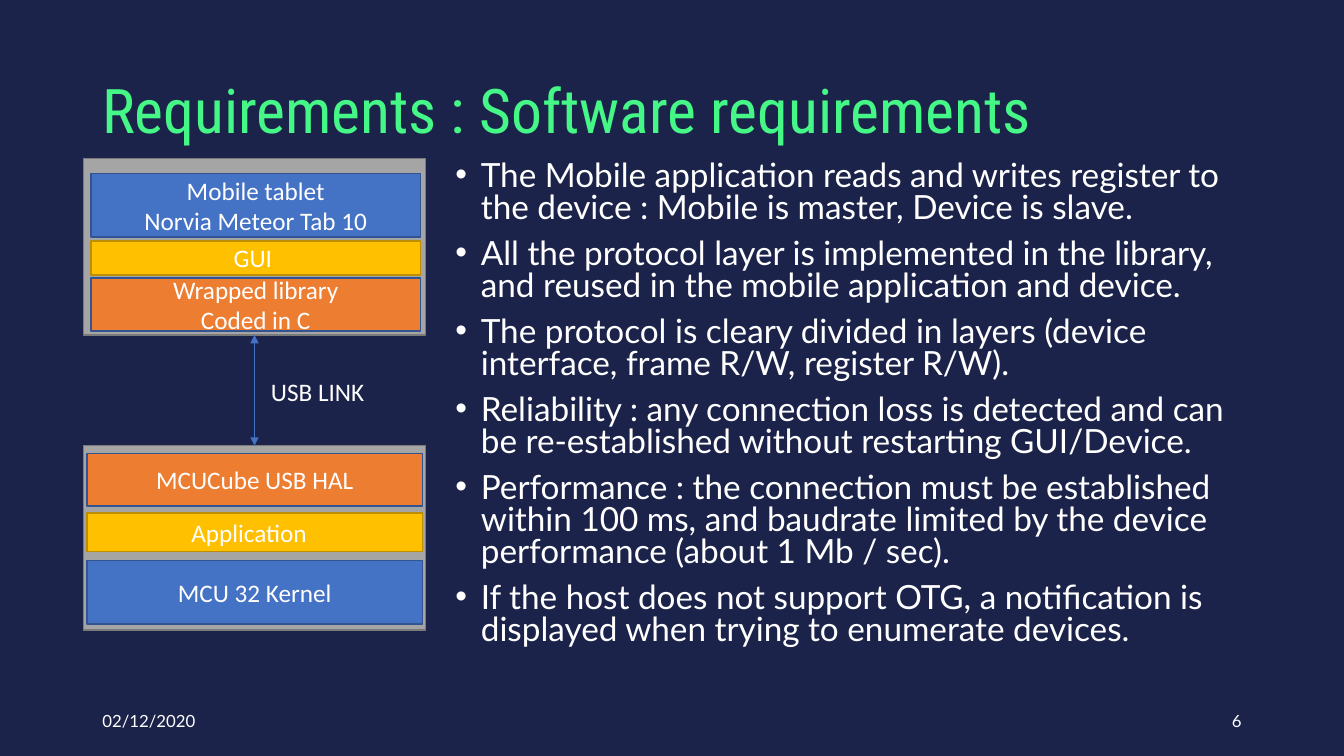
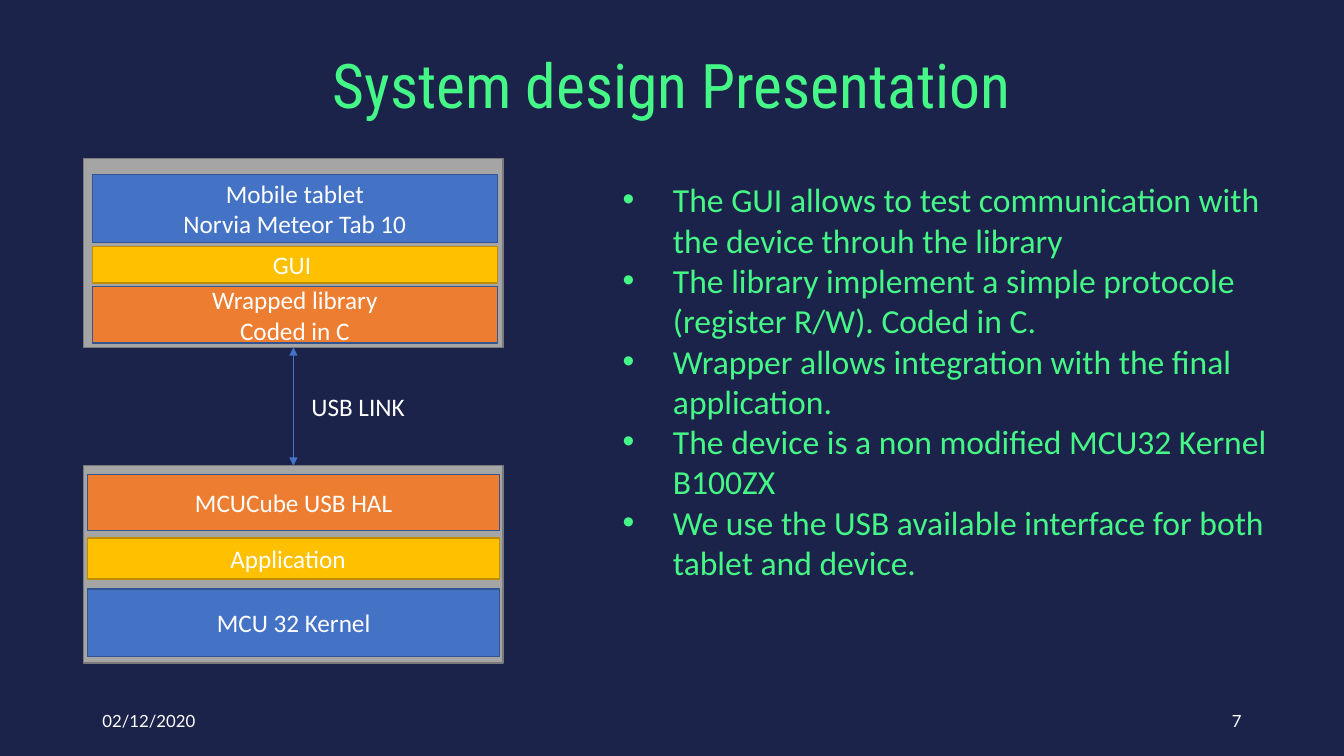
import dataclasses

import lxml.etree
import pptx
import pptx.dml.color
import pptx.enum.shapes
import pptx.enum.text
import pptx.oxml.ns
import pptx.util

Cm = pptx.util.Cm
Pt = pptx.util.Pt
ALIGN = pptx.enum.text.PP_ALIGN
ANCHOR = pptx.enum.text.MSO_ANCHOR


@dataclasses.dataclass(frozen=True)
class Theme:
    background: str = "1C234A"
    accent: str = "45F786"
    text: str = "FFFFFF"
    link: str = "4472C4"
    # Fill and outline of each kind of box
    frame: tuple = ("A5A5A5", "7A7A7A")
    hardware: tuple = ("4472C4", "325491")
    software: tuple = ("FFC000", "BD8E00")
    library: tuple = ("ED7D31", "325491")
    title_font: str = "Roboto Condensed"
    body_font: str = "Lato"
    diagram_font: str = "Calibri"
    title_size: float = 44
    requirement_size: float = 23.8
    design_size: float = 24
    diagram_size: float = 18
    footer_size: float = 12


THEME = Theme()


@dataclasses.dataclass(frozen=True)
class Layer:
    lines: tuple
    colors: tuple
    top: float
    height: float
    right_padding: float = 0


@dataclasses.dataclass(frozen=True)
class Unit:
    top: float
    height: float
    layer_left: float
    layer_width: float
    layers: tuple


# Diagram lengths in cm, from its top left corner, at its basic size
DIAGRAM_LEFT, DIAGRAM_TOP, DIAGRAM_WIDTH = 2.11, 3.99, 8.61
TABLET = Unit(0, 4.45, 0.18, 8.31, (
    Layer(("Mobile tablet", "Norvia Meteor Tab 10"), THEME.hardware, 0.38, 1.6),
    Layer(("GUI",), THEME.software, 2.08, 0.86, 0.14),
    Layer(("Wrapped library", "Coded in C"), THEME.library, 3.02, 1.33),
))
DEVICE = Unit(7.24, 4.65, 0.08, 8.46, (
    Layer(("MCUCube USB HAL",), THEME.library, 0.2, 1.32),
    Layer(("Application",), THEME.software, 1.7, 0.97, 0.28),
    Layer(("MCU 32 Kernel",), THEME.hardware, 2.9, 1.6),
))

REQUIREMENTS = (
    "The Mobile application reads and writes register to the device : "
    "Mobile is master, Device is slave.",
    "All the protocol layer is implemented in the library, and reused in "
    "the mobile application and device.",
    "The protocol is cleary divided in layers (device interface, "
    "frame R/W, register R/W).",
    "Reliability : any connection loss is detected and can be "
    "re-established without restarting GUI/Device.",
    "Performance : the connection must be established within 100 ms, and "
    "baudrate limited by the device performance (about 1 Mb / sec).",
    "If the host does not support OTG, a notification is displayed when "
    "trying to enumerate devices.",
)
DESIGN_POINTS = (
    "The GUI allows to test communication with the device throuh the library",
    "The library implement a simple protocole (register R/W). Coded in C.",
    "Wrapper allows integration with the final application.",
    "The device is a non modified MCU32 Kernel B100ZX",
    "We use the USB available interface for both tablet and device.",
)


def rgb(color):
    return pptx.dml.color.RGBColor.from_string(color)


def write_lines(shape, lines, font, size, color, align=ALIGN.LEFT,
                anchor=ANCHOR.TOP, line_spacing=None):
    frame = shape.text_frame
    frame.word_wrap = True
    frame.vertical_anchor = anchor
    frame.text = "\n".join(lines)
    for paragraph in frame.paragraphs:
        paragraph.alignment = align
        if line_spacing:
            paragraph.line_spacing = line_spacing
        for run in paragraph.runs:
            run.font.name = font
            run.font.size = Pt(size)
            run.font.color.rgb = rgb(color)


def add_text(slide, box, lines, font, size, color, **options):
    """Add a text box; box is left, top, width and height in cm."""
    shape = slide.shapes.add_textbox(*map(Cm, box))
    write_lines(shape, lines, font, size, color, **options)
    return shape


def add_bullets(slide, box, lines, font, size, color, indent,
                space_before=0, **options):
    shape = add_text(slide, box, lines, font, size, color, **options)
    for paragraph in shape.text_frame.paragraphs:
        paragraph.space_before = Pt(space_before)
        properties = paragraph._p.get_or_add_pPr()
        properties.set("marL", str(Cm(indent)))
        properties.set("indent", str(-Cm(indent)))
        for tag, name, value in (("a:buFont", "typeface", "Arial"),
                                 ("a:buChar", "char", "•")):
            lxml.etree.SubElement(
                properties, pptx.oxml.ns.qn(tag)).set(name, value)


def add_box(slide, box, colors):
    shape = slide.shapes.add_shape(
        pptx.enum.shapes.MSO_SHAPE.RECTANGLE, *map(Cm, box))
    fill, outline = colors
    shape.shadow.inherit = False
    shape.fill.solid()
    shape.fill.fore_color.rgb = rgb(fill)
    shape.line.color.rgb = rgb(outline)
    shape.line.width = Pt(1)
    return shape


def add_double_arrow(slide, x, top, bottom):
    arrow = slide.shapes.add_connector(
        pptx.enum.shapes.MSO_CONNECTOR.STRAIGHT,
        Cm(x), Cm(top), Cm(x), Cm(bottom))
    arrow.line.color.rgb = rgb(THEME.link)
    arrow.line.width = Pt(0.5)
    line = arrow.line._get_or_add_ln()
    for tag in ("a:headEnd", "a:tailEnd"):
        lxml.etree.SubElement(
            line, pptx.oxml.ns.qn(tag)).set("type", "triangle")
    lxml.etree.SubElement(
        arrow._element.spPr, pptx.oxml.ns.qn("a:effectLst"))


def add_system_diagram(slide, width=DIAGRAM_WIDTH, y_scale=1):
    """Draw tablet, USB link and device, stretched to the given size."""
    x_scale = width / DIAGRAM_WIDTH

    def place(left, top, box_width, height):
        return (DIAGRAM_LEFT + left * x_scale, DIAGRAM_TOP + top * y_scale,
                box_width * x_scale, height * y_scale)

    for unit in (TABLET, DEVICE):
        add_box(slide, place(0, unit.top, DIAGRAM_WIDTH, unit.height),
                THEME.frame)
        for layer in unit.layers:
            box = place(unit.layer_left, unit.top + layer.top,
                        unit.layer_width, layer.height)
            shape = add_box(slide, box, layer.colors)
            write_lines(shape, layer.lines, THEME.diagram_font,
                        THEME.diagram_size, THEME.text,
                        align=ALIGN.CENTER, anchor=ANCHOR.MIDDLE)
            shape.text_frame.margin_right += Cm(layer.right_padding)

    link_x, link_top, _, link_height = place(
        DIAGRAM_WIDTH / 2, TABLET.height, 0, DEVICE.top - TABLET.height)
    add_double_arrow(slide, link_x, link_top, link_top + link_height)
    add_text(slide, place(4.47, 5.36, 3.4, 0.97), ("USB LINK",),
             THEME.diagram_font, THEME.diagram_size, THEME.text)


def add_slide(presentation, title, title_height, number, align=ALIGN.LEFT):
    """Add a slide with its title, date and number."""
    slide = presentation.slides.add_slide(presentation.slide_layouts[6])
    add_text(slide, (2.33, 1.01, 29.21, title_height), (title,),
             THEME.title_font, THEME.title_size, THEME.accent,
             align=align, anchor=ANCHOR.MIDDLE, line_spacing=0.9)
    for left, text, side in ((2.33, "02/12/2020", ALIGN.LEFT),
                             (23.92, str(number), ALIGN.RIGHT)):
        add_text(slide, (left, 17.65, 7.62, 1.01), (text,),
                 THEME.body_font, THEME.footer_size, THEME.text,
                 align=side, anchor=ANCHOR.MIDDLE)
    return slide


def add_requirements_slide(presentation):
    slide = add_slide(presentation, "Requirements : Software requirements",
                      3.68, 6)
    add_bullets(slide, (11.23, 3.96, 20.32, 13.18), REQUIREMENTS,
                THEME.body_font, THEME.requirement_size, THEME.text,
                indent=0.64, space_before=10, line_spacing=0.8)
    add_system_diagram(slide)


def add_design_slide(presentation):
    slide = add_slide(presentation, "System design Presentation", 2.46, 7,
                      align=ALIGN.CENTER)
    add_bullets(slide, (15.44, 4.39, 17.53, 10.52), DESIGN_POINTS,
                THEME.diagram_font, THEME.design_size, THEME.accent,
                indent=1.27)
    add_system_diagram(slide, width=10.57, y_scale=1.07)


def main():
    presentation = pptx.Presentation()
    presentation.slide_width = Cm(33.87)
    presentation.slide_height = Cm(19.05)
    background = presentation.slide_master.background.fill
    background.solid()
    background.fore_color.rgb = rgb(THEME.background)
    add_requirements_slide(presentation)
    add_design_slide(presentation)
    presentation.save("out.pptx")


if __name__ == "__main__":
    main()
